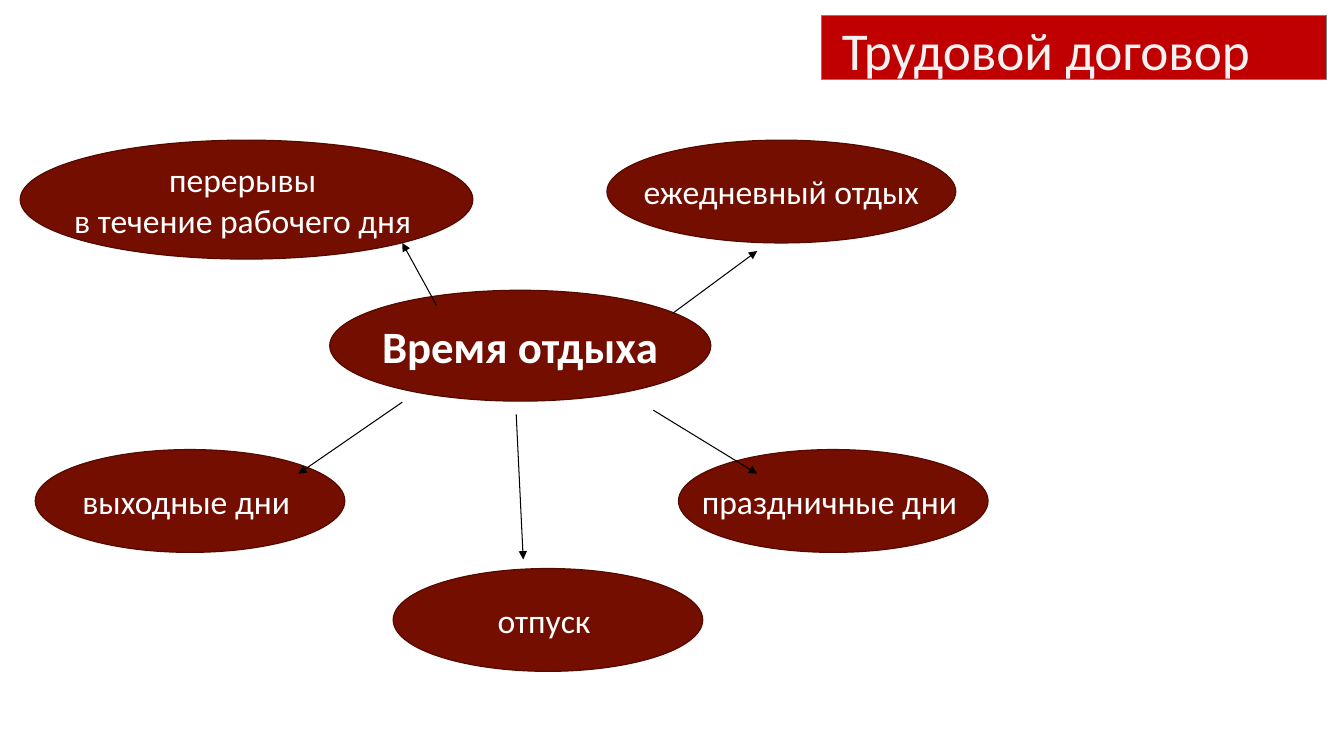
from pptx import Presentation
from pptx.dml.color import RGBColor
from pptx.enum import shapes, text
from pptx.oxml.ns import qn
from pptx.util import Inches, Pt
from lxml import etree


def paint(color_format, color):
    color_format.rgb = RGBColor.from_string(color)


def style_text(frame, size, color, align, bold=False):
    frame.vertical_anchor = text.MSO_ANCHOR.MIDDLE
    for paragraph in frame.paragraphs:
        paragraph.alignment = align
        for run in paragraph.runs:
            run.font.name = "Calibri"
            run.font.size = Pt(size)
            run.font.bold = bold
            paint(run.font.color, color)


deck = Presentation()
deck.slide_width, deck.slide_height = Inches(13.33), Inches(7.5)
slide = deck.slides.add_slide(deck.slide_layouts[5])

title = slide.shapes.title
title.left, title.top = Inches(8.15), Inches(0.15)
title.width, title.height = Inches(5.01), Inches(0.64)
title.fill.solid()
paint(title.fill.fore_color, "C00000")
paint(title.line.color, "808080")
title.line.width = Pt(0.75)
heading = title.text_frame
heading.text = "Трудовой договор"
heading.auto_size = text.MSO_AUTO_SIZE.NONE
heading.word_wrap = True
heading.margin_left = heading.margin_right = heading.margin_bottom = Inches(0.2)
heading.margin_top = Inches(0.31)
heading.paragraphs[0].line_spacing = Pt(40)
style_text(heading, 38, "F2F2F2", text.PP_ALIGN.LEFT)

# Wording, left, top, width, height, text size; the central topic is bold
TOPIC = "Время отдыха"
rest_kinds = [
    ("перерывы \nв течение рабочего дня ", 0.2, 1.39, 4.49, 1.18, 24),
    ("ежедневный отдых", 6.02, 1.39, 3.46, 1.02, 24),
    (TOPIC, 3.27, 2.88, 3.78, 1.1, 32),
    ("выходные дни ", 0.35, 4.46, 3.07, 1.02, 24),
    ("отпуск ", 3.9, 5.64, 3.07, 1.02, 24),
    ("праздничные дни ", 6.73, 4.46, 3.07, 1.02, 24),
]
for wording, left, top, width, height, size in rest_kinds:
    oval = slide.shapes.add_shape(
        shapes.MSO_SHAPE.OVAL, Inches(left), Inches(top), Inches(width), Inches(height))
    oval.shadow.inherit = False
    oval.fill.solid()
    paint(oval.fill.fore_color, "730E00")
    paint(oval.line.color, "550A00")
    oval.line.width = Pt(0.85)
    oval.text_frame.text = wording
    oval.text_frame.word_wrap = False
    style_text(oval.text_frame, size, "FFFFFF", text.PP_ALIGN.CENTER, wording == TOPIC)

# Start and end of each arrow leading out of the central topic
arrows = [
    (4.33, 3.03, 3.99, 2.41),
    (3.99, 3.99, 2.96, 4.7),
    (5.12, 4.11, 5.19, 5.55),
    (6.48, 4.07, 7.51, 4.7),
    (6.67, 3.11, 7.51, 2.49),
]
for ends in arrows:
    arrow = slide.shapes.add_connector(
        shapes.MSO_CONNECTOR.STRAIGHT, *[Inches(end) for end in ends])
    paint(arrow.line.color, "000000")
    arrow.line.width = Pt(0.75)
    properties = arrow.line.color and arrow._element.spPr
    etree.SubElement(properties.find(qn("a:ln")), qn("a:tailEnd"), type="triangle")
    etree.SubElement(properties, qn("a:effectLst"))

deck.save("out.pptx")
